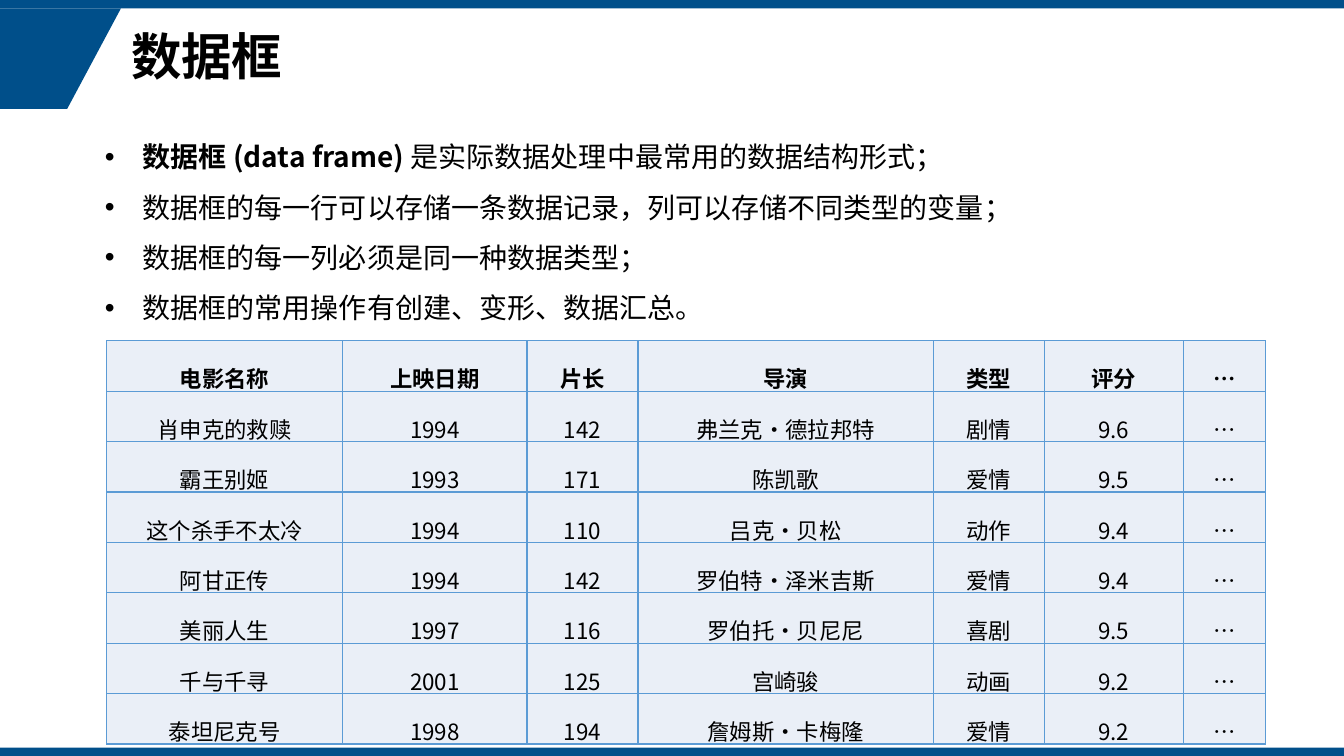
"""Builds the slide on data frames with its bullet list and film table."""
from lxml import etree
from pptx import Presentation
from pptx.dml.color import RGBColor
from pptx.enum.shapes import MSO_SHAPE
from pptx.enum.text import MSO_ANCHOR, MSO_AUTO_SIZE, PP_ALIGN
from pptx.oxml.ns import qn
from pptx.util import Pt

RECTANGLE = MSO_SHAPE.RECTANGLE
MIDDLE, TOP = MSO_ANCHOR.MIDDLE, MSO_ANCHOR.TOP
GROW = MSO_AUTO_SIZE.SHAPE_TO_FIT_TEXT
LEFT, CENTER = PP_ALIGN.LEFT, PP_ALIGN.CENTER
FONT = "Noto Sans CJK SC"
BLUE, BLACK, PALE, BORDER = "004F8A", "000000", "EAEFF7", "5B9BD5"
WIDTH, HEIGHT, BAR = 960, 540, 6


def paint(fill, color):
    """Fill with one solid colour."""
    fill.solid()
    fill.fore_color.rgb = RGBColor.from_string(color)


def style(para, size, bold, align, spacing):
    """Set the font and layout of a paragraph."""
    para.alignment = align
    para.line_spacing = spacing
    para.space_before = Pt(0)
    font = para.font
    font.size, font.bold, font.name = Pt(size), bold, FONT
    paint(font.fill, BLACK)
    properties = para._p.pPr.find(qn("a:defRPr"))
    etree.SubElement(properties, qn("a:ea"), typeface=FONT)


deck = Presentation()
deck.slide_width, deck.slide_height = Pt(WIDTH), Pt(HEIGHT)
page = deck.slides.add_slide(deck.slide_layouts[1])
shapes = page.shapes

outline = shapes.build_freeform(Pt(0), Pt(BAR))
outline.add_line_segments([(Pt(86.4), Pt(BAR)), (Pt(48), Pt(77.8)), (Pt(0), Pt(77.8))])
corner = outline.convert_to_shape()
top_bar, bottom_bar = [
    shapes.add_shape(RECTANGLE, Pt(0), Pt(y), Pt(WIDTH), Pt(BAR)) for y in (0, HEIGHT - BAR)
]
for decoration in (corner, top_bar, bottom_bar):
    paint(decoration.fill, BLUE)
    decoration.line.fill.background()
    decoration.shadow.inherit = False

title = shapes.title
title.left, title.top, title.width, title.height = Pt(86.4), Pt(BAR), Pt(808), Pt(72)
title.text_frame.text = "数据框"
title.text_frame.vertical_anchor = MIDDLE
style(title.text_frame.paragraphs[0], 36, True, LEFT, 0.9)

body = page.placeholders[1]
body.left, body.top, body.width, body.height = Pt(67.7), Pt(84.2), Pt(844.6), Pt(185)
frame = body.text_frame
frame.word_wrap = True
frame.auto_size = GROW
frame.vertical_anchor = TOP
points = [
    ("数据框 (data frame) ", "是实际数据处理中最常用的数据结构形式；"),
    ("", "数据框的每一行可以存储一条数据记录，列可以存储不同类型的变量；"),
    ("", "数据框的每一列必须是同一种数据类型；"),
    ("", "数据框的常用操作有创建、变形、数据汇总。"),
]
for index, (term, statement) in enumerate(points):
    para = frame.add_paragraph() if index else frame.paragraphs[0]
    if term:
        span = para.add_run()
        span.text = term
        span.font.bold = True
    para.add_run().text = statement
    style(para, 20, False, LEFT, 1.5)
    para._p.pPr.set("marL", str(Pt(27)))
    para._p.pPr.set("indent", str(Pt(-27)))

films = [
    ("电影名称", "上映日期", "片长", "导演", "类型", "评分"),
    ("肖申克的救赎", "1994", "142", "弗兰克·德拉邦特", "剧情", "9.6"),
    ("霸王别姬", "1993", "171", "陈凯歌", "爱情", "9.5"),
    ("这个杀手不太冷", "1994", "110", "吕克·贝松", "动作", "9.4"),
    ("阿甘正传", "1994", "142", "罗伯特·泽米吉斯", "爱情", "9.4"),
    ("美丽人生", "1997", "116", "罗伯托·贝尼尼", "喜剧", "9.5"),
    ("千与千寻", "2001", "125", "宫崎骏", "动画", "9.2"),
    ("泰坦尼克号", "1998", "194", "詹姆斯·卡梅隆", "爱情", "9.2"),
]
column_widths = [168.5, 131.8, 79.2, 211, 79.2, 99.4, 59]
table = shapes.add_table(
    len(films), len(column_widths), Pt(76.2), Pt(243.5), Pt(sum(column_widths)), Pt(182)
).table
table.first_row = table.horz_banding = False
for column, width in zip(table.columns, column_widths):
    column.width = Pt(width)
for row_index, film in enumerate(films):
    table.rows[row_index].height = Pt(22.5 if row_index else 24.5)
    for column_index, text in enumerate(film + ("…",)):
        cell = table.cell(row_index, column_index)
        cell.text = text
        cell.margin_left = cell.margin_right = Pt(5)
        style(cell.text_frame.paragraphs[0], 16, row_index == 0, CENTER, 1.5)
        cell_properties = cell._tc.get_or_add_tcPr()
        for side in ("a:lnL", "a:lnR", "a:lnT", "a:lnB"):
            edge = etree.SubElement(cell_properties, qn(side), w=str(Pt(1)))
            edge_fill = etree.SubElement(edge, qn("a:solidFill"))
            etree.SubElement(edge_fill, qn("a:srgbClr"), val=BORDER)
        paint(cell.fill, PALE)

deck.save("out.pptx")
